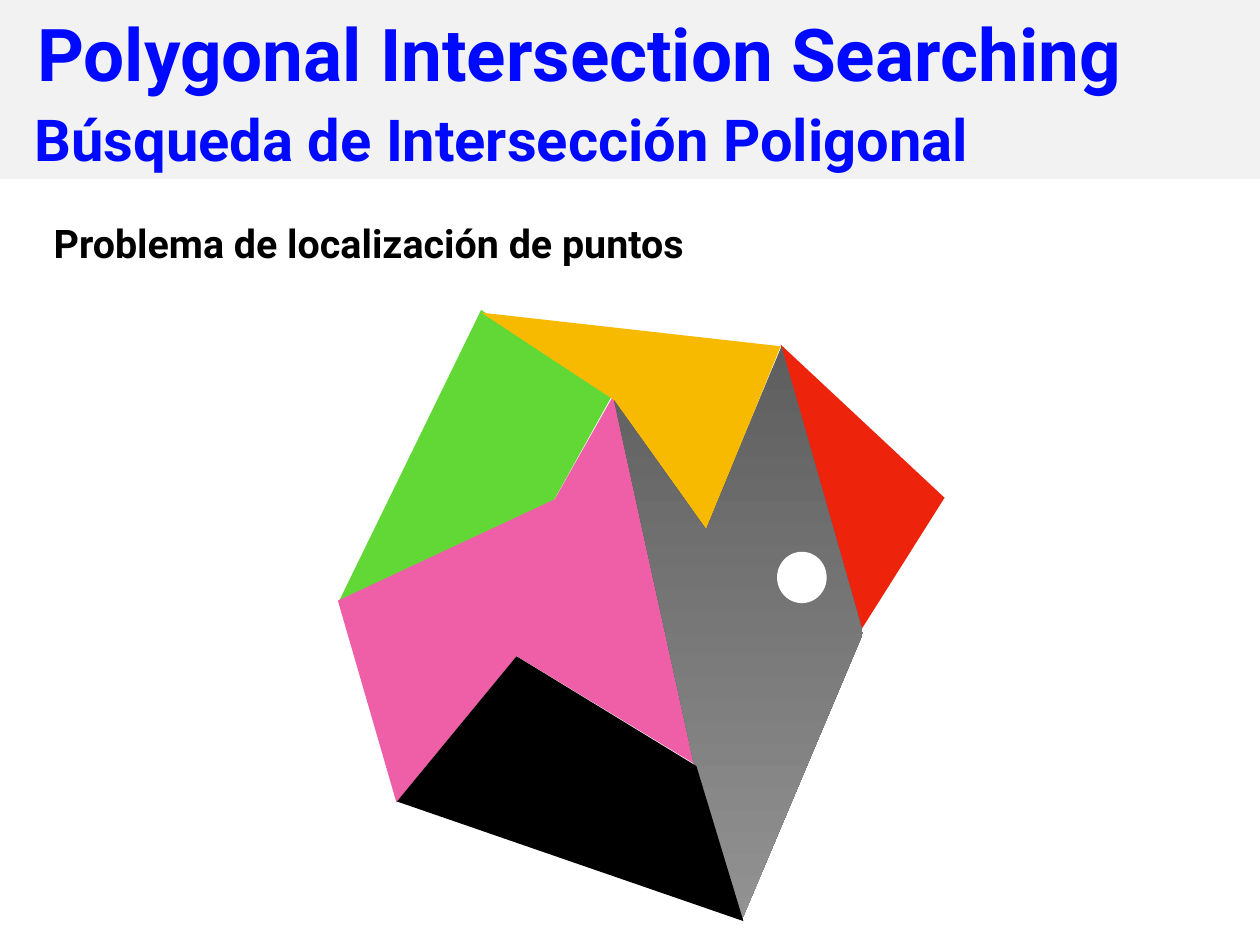
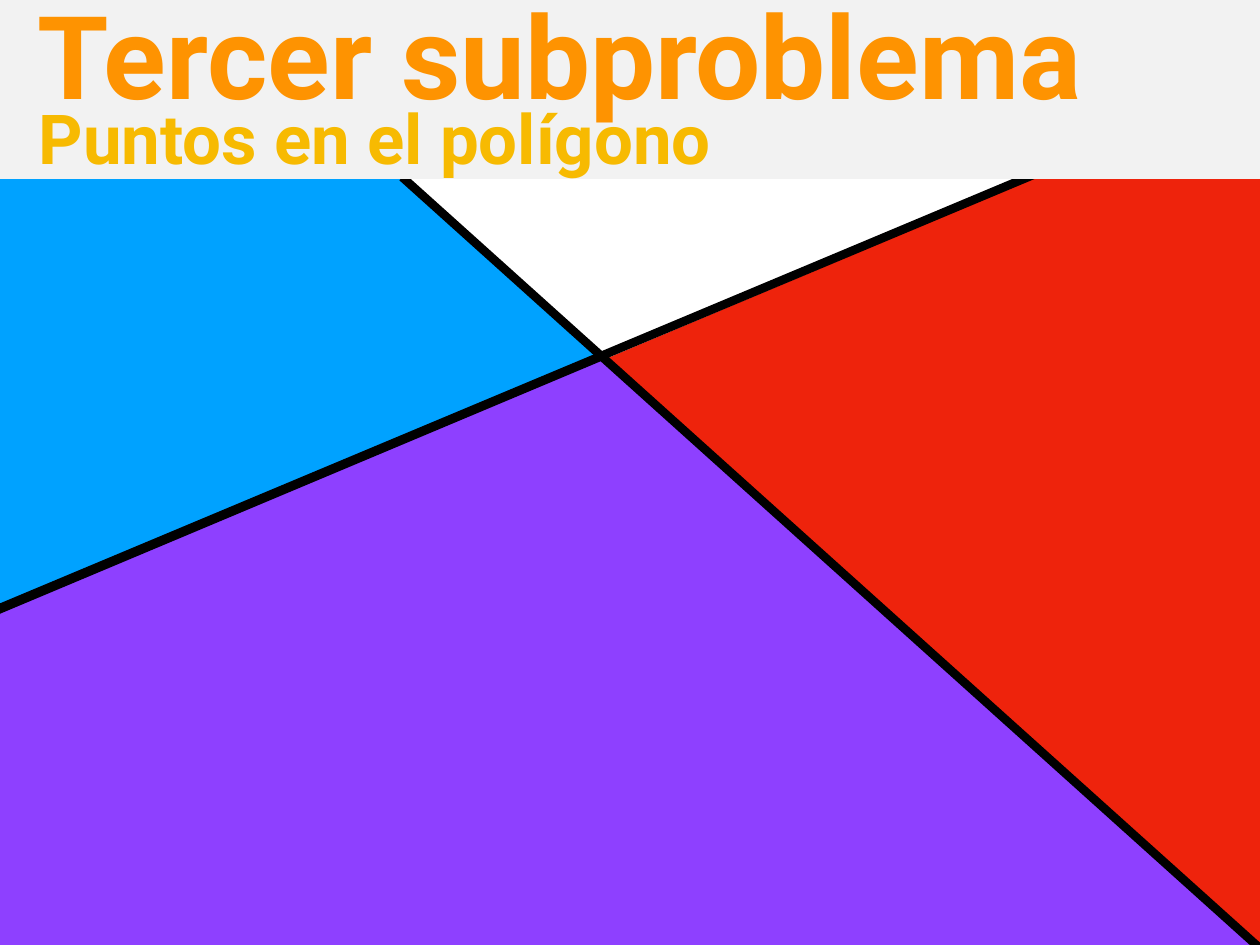
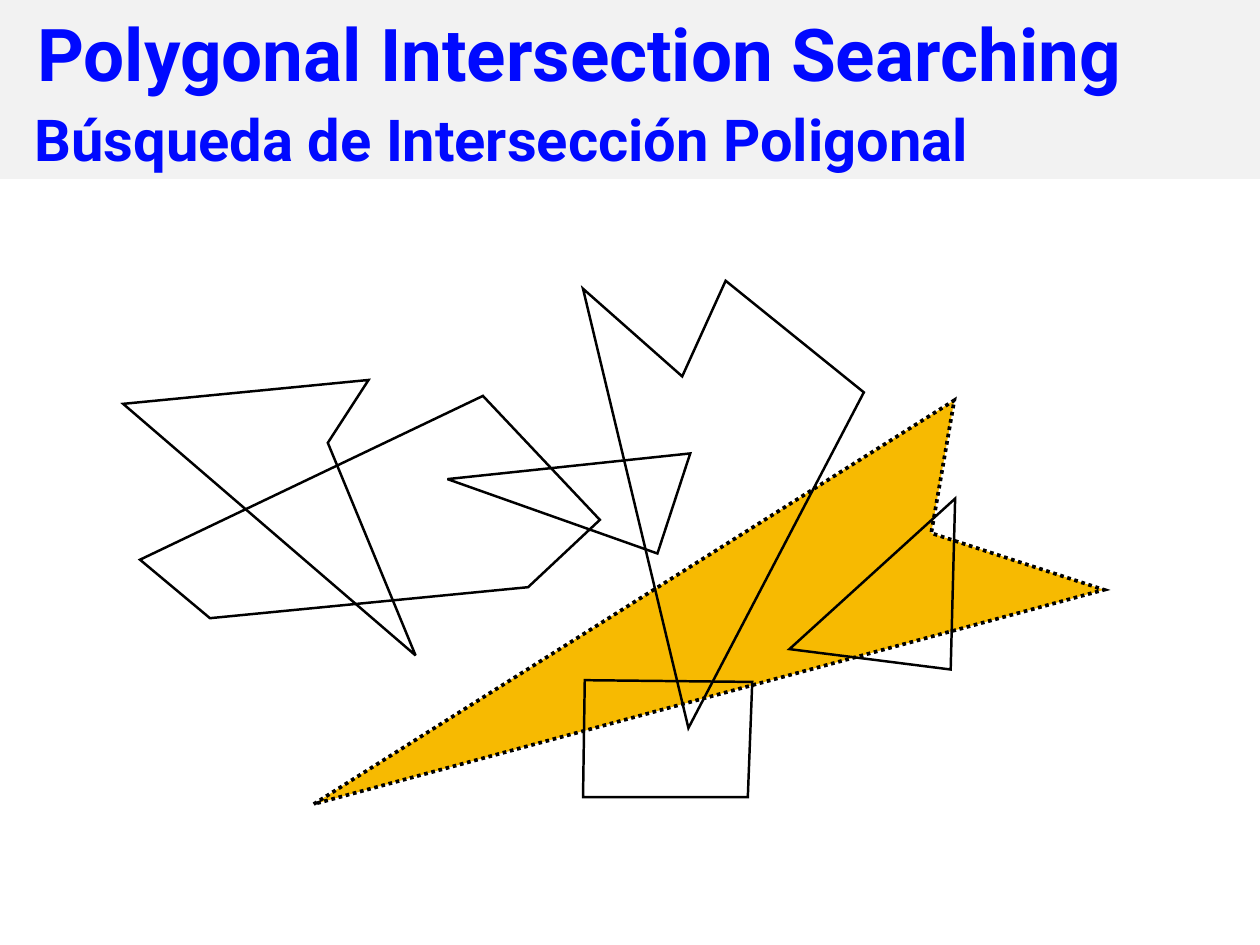
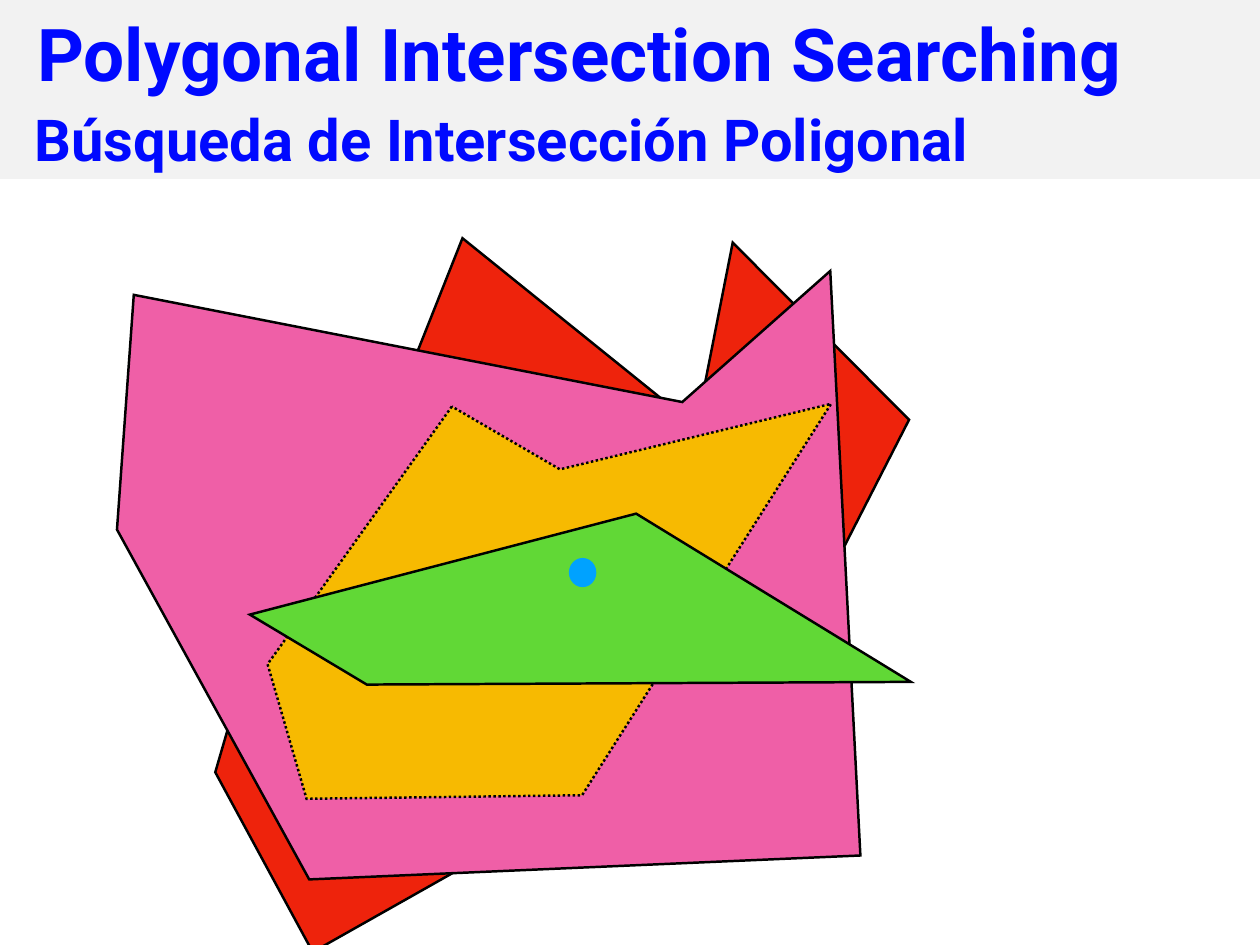
import pptx
import pptx.util
import pptx.dml.color
import pptx.enum.dml
import pptx.enum.shapes
import pptx.enum.text
from lxml import etree

Inches, Pt = pptx.util.Inches, pptx.util.Pt
SHAPE = pptx.enum.shapes.MSO_SHAPE
ANCHOR = pptx.enum.text.MSO_ANCHOR
ALIGN = pptx.enum.text.PP_ALIGN

FONT = "Roboto"
BLACK, WHITE, BAND_GREY = "000000", "FFFFFF", "F2F2F2"
TITLE_BLUE, ORANGE = "0009FF", "FE9301"
RED, GREEN, PINK = "EE230C", "61D836", "EF5FA7"
YELLOW, SKY, PURPLE = "F7BA01", "00A2FF", "8E40FF"
GREY_RAMP = ("5E5E5E", "929292")

PAGE = (0, 0, 14.22, 10.67)
BAND = (-0.03, -0.01, 14.28, 2.03)


def rgb(hex_color):
    return pptx.dml.color.RGBColor.from_string(hex_color)


def paint(sp, fill=None, line=None, width=2, dotted=False):
    """Fill is a hex colour, a pair for a downward gradient, or None."""
    sp.shadow.inherit = False
    if fill is None:
        sp.fill.background()
    elif isinstance(fill, tuple):
        sp.fill.gradient()
        sp.fill.gradient_angle = 270
        for stop, color in zip(sp.fill.gradient_stops, fill):
            stop.color.rgb = rgb(color)
    else:
        sp.fill.solid()
        sp.fill.fore_color.rgb = rgb(fill)
    if line is None:
        sp.line.fill.background()
        return
    sp.line.color.rgb = rgb(line)
    sp.line.width = Pt(width)
    if dotted:
        sp.line.dash_style = pptx.enum.dml.MSO_LINE.ROUND_DOT
    ln = sp.line._get_or_add_ln()
    miter = etree.SubElement(ln, pptx.oxml.ns.qn("a:miter"))
    miter.set("lim", "400000")


def polygon(s, box, points, fill=None, line=None, dotted=False, width=2):
    pts = [(Inches(box[0] + x), Inches(box[1] + y)) for x, y in points]
    builder = s.shapes.build_freeform(*pts[0], scale=1.0)
    builder.add_line_segments(pts[1:], close=True)
    paint(builder.convert_to_shape(), fill, line, width, dotted)


def preset(s, kind, box, fill):
    paint(s.shapes.add_shape(kind, *map(Inches, box)), fill)


def straight_line(s, box, start, end, width=7):
    ends = [Inches(box[i % 2] + v) for i, v in enumerate(start + end)]
    cx = s.shapes.add_connector(pptx.enum.shapes.MSO_CONNECTOR.STRAIGHT, *ends)
    cx.line.color.rgb = rgb(BLACK)
    cx.line.width = Pt(width)
    etree.SubElement(cx._element.spPr, pptx.oxml.ns.qn("a:effectLst"))


def text(s, box, words, size, color, anchor=ANCHOR.BOTTOM, align=ALIGN.LEFT, wrap=True):
    tf = s.shapes.add_textbox(*map(Inches, box)).text_frame
    tf.word_wrap = wrap
    tf.vertical_anchor = anchor
    tf.margin_left = tf.margin_right = tf.margin_top = tf.margin_bottom = Inches(0.06)
    p = tf.paragraphs[0]
    p.alignment = align
    r = p.add_run()
    r.text = words
    r.font.name, r.font.size, r.font.bold = FONT, Pt(size), True
    r.font.color.rgb = rgb(color)


def header(s, box, title, subtitle):
    """Grey band; each heading is (words, size, colour, left, bottom) within it."""
    preset(s, SHAPE.RECTANGLE, box, BAND_GREY)
    for heading, width, height in ((subtitle, 11.44, 1.35), (title, 13.14, 1.86)):
        words, size, color, left, bottom = heading
        text(s, (box[0] + left, box[1] + bottom - height, width, height), words, size, color)


def search_header(s):
    header(s, BAND,
           ("Polygonal Intersection Searching", 59.2, TITLE_BLUE, 0.39, 1.15),
           ("Búsqueda de Intersección Poligonal", 47, TITLE_BLUE, 0.36, 2.02))


def point_location(s, box):
    x, y = box[:2]
    text(s, (x + 0.32, y + 2.42, 7.69, 0.64), "Problema de localización de puntos",
         32, BLACK, ANCHOR.MIDDLE, ALIGN.CENTER, wrap=False)
    regions = (
        (GREEN, None, [(3.83, 6.78), (5.43, 3.5), (6.9, 4.48), (6.24, 5.67)]),
        (PINK, PINK, [(6.92, 4.5), (7.84, 8.61), (5.83, 7.39), (4.48, 9.03),
                      (3.83, 6.79), (6.27, 5.65)]),
        (YELLOW, None, [(5.43, 3.53), (8.81, 3.91), (7.97, 5.99), (6.92, 4.51)]),
        (RED, None, [(8.81, 3.89), (9.72, 7.11), (10.66, 5.62)]),
        (GREY_RAMP, None, [(8.37, 10.39), (7.83, 8.61), (6.93, 4.52), (7.97, 5.98),
                           (8.82, 3.91), (9.74, 7.15)]),
        (BLACK, None, [(5.83, 7.41), (4.48, 9.05), (8.39, 10.4), (7.86, 8.65)]),
    )
    for fill, line, points in regions:
        polygon(s, box, points, fill, line)
    preset(s, SHAPE.OVAL, (x + 8.77, y + 6.23, 0.56, 0.58), WHITE)


def half_planes(s, box):
    polygon(s, box, [(6.77, 4.08), (14.33, 10.81), (16.21, 0.1)], RED)
    polygon(s, box, [(-1.08, 0.88), (-0.98, 13.51), (14.65, 11.1), (4.32, 1.82)], SKY)
    straight_line(s, box, (-0.13, 6.92), (14.82, 0.65))
    polygon(s, box, [(-0.01, 6.92), (-0.88, 10.82), (4.93, 11.76), (14.26, 10.73),
                     (6.79, 4.06)], PURPLE, BLACK)
    straight_line(s, box, (4.54, 2), (16.79, 13.02))


def polygon_query(s, box):
    polygon(s, box, [(3.54, 9.08), (10.77, 4.52), (10.51, 6.02), (12.46, 6.66)],
            YELLOW, BLACK, dotted=True, width=3)
    outlines = (
        [(1.39, 4.56), (4.69, 7.4), (3.7, 5), (4.16, 4.29)],
        [(1.58, 6.32), (2.37, 6.98), (5.96, 6.63), (6.77, 5.87), (5.45, 4.47)],
        [(5.05, 5.41), (7.42, 6.25), (7.79, 5.12)],
        [(6.58, 3.26), (7.77, 8.22), (9.75, 4.43), (8.19, 3.17), (7.7, 4.25)],
        [(6.6, 7.68), (6.58, 9), (8.44, 9), (8.49, 7.7)],
        [(8.91, 7.33), (10.78, 5.63), (10.73, 7.56)],
    )
    for points in outlines:
        polygon(s, box, points, line=BLACK)


def stacked_polygons(s, box):
    layers = (
        (RED, False, [(3.68, 4.42), (2.43, 8.72), (3.53, 10.75), (5.23, 9.79),
                      (7.75, 9.65), (10.26, 4.74), (8.27, 2.74), (7.86, 4.82),
                      (5.22, 2.69), (4.22, 5.21)]),
        (PINK, False, [(1.32, 5.98), (3.49, 9.93), (9.71, 9.66), (9.37, 3.06),
                       (7.7, 4.54), (1.51, 3.33)]),
        (YELLOW, True, [(5.1, 4.59), (3.02, 7.5), (3.46, 9.02), (6.57, 8.98),
                        (9.38, 4.56), (6.32, 5.3)]),
        (GREEN, False, [(2.82, 6.94), (7.18, 5.8), (10.28, 7.7), (4.14, 7.73)]),
    )
    for fill, dotted, points in layers:
        polygon(s, box, points, fill, BLACK, dotted)
    preset(s, SHAPE.OVAL, (box[0] + 6.42, box[1] + 6.3, 0.31, 0.33), SKY)


def subproblem_header(s):
    header(s, BAND,
           ("Tercer subproblema", 94, ORANGE, 0.39, 1.45),
           ("Puntos en el polígono", 56, YELLOW, 0.41, 2.08))


def main():
    prs = pptx.Presentation()
    prs.slide_width, prs.slide_height = Inches(PAGE[2]), Inches(PAGE[3])
    slides = (
        (point_location, search_header),
        (half_planes, subproblem_header),
        (polygon_query, search_header),
        (stacked_polygons, search_header),
    )
    for figure, heading in slides:
        s = prs.slides.add_slide(prs.slide_layouts[6])
        figure(s, PAGE)
        heading(s)
    prs.save("out.pptx")


if __name__ == "__main__":
    main()
